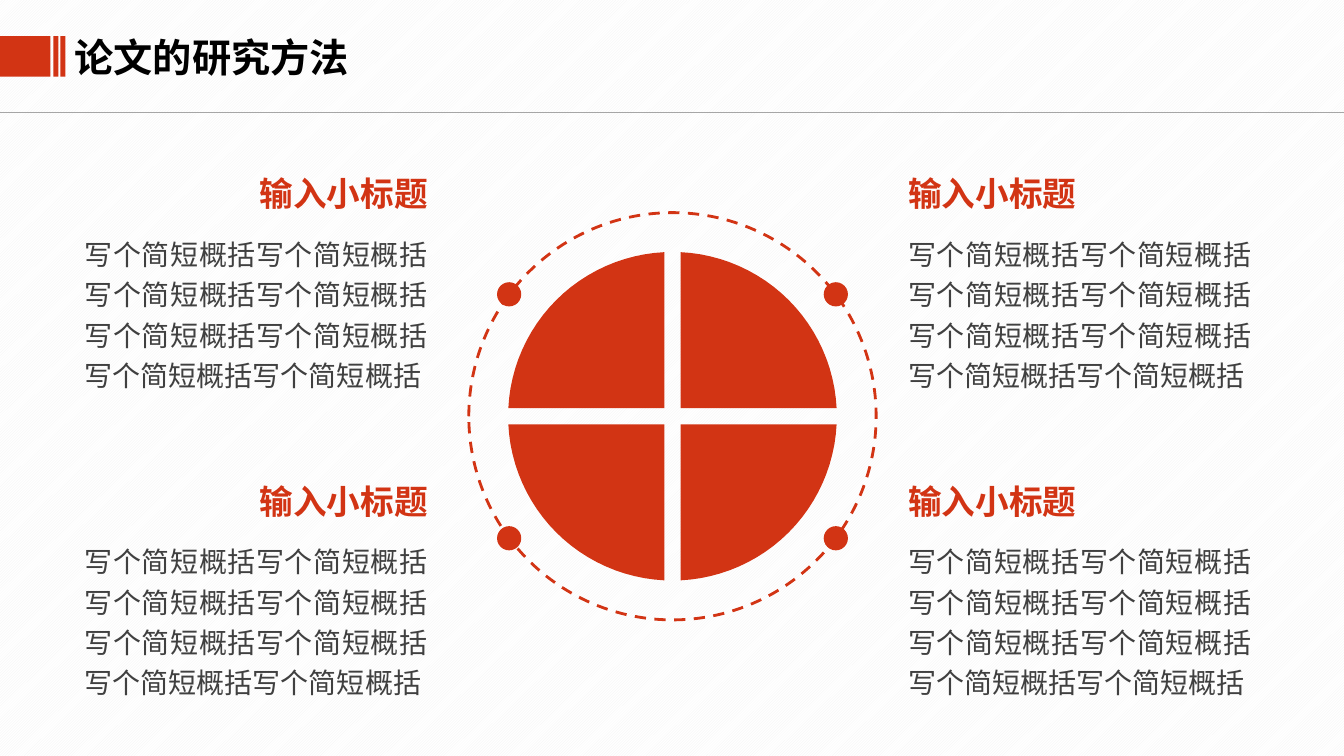
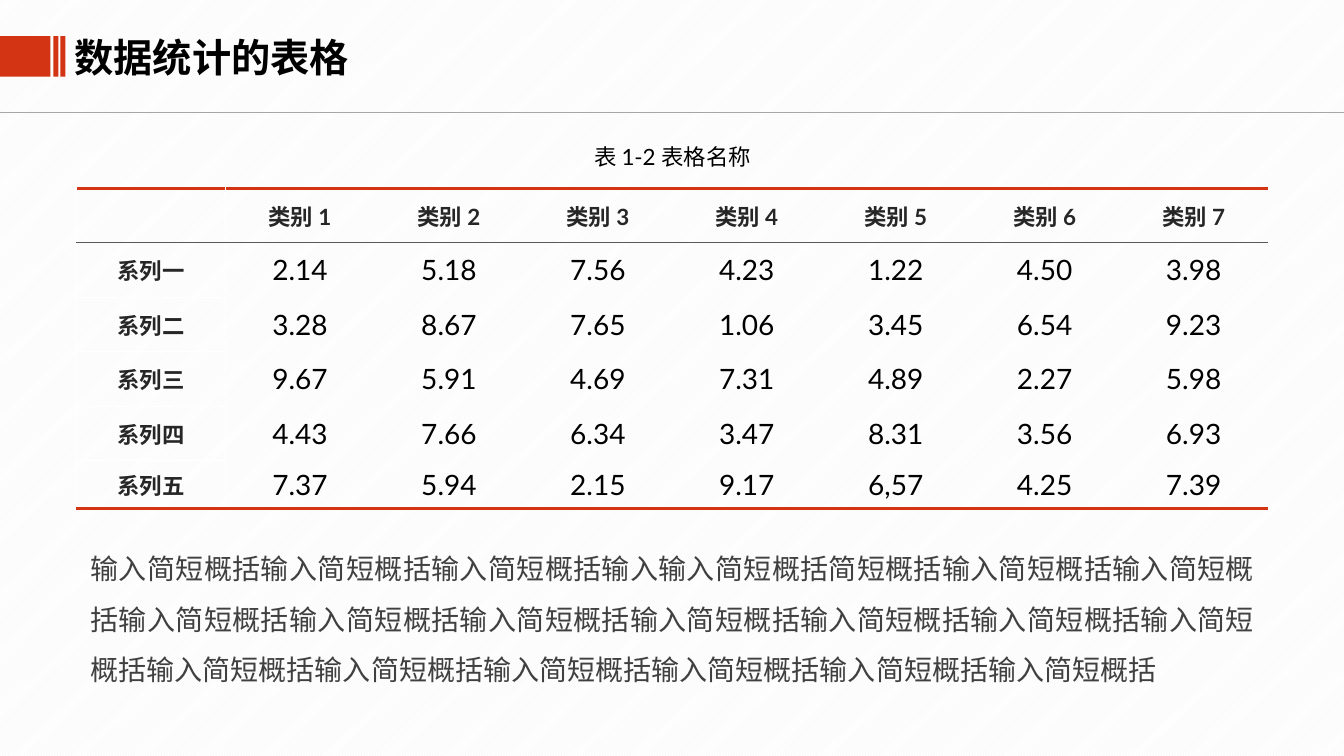
from math import asin, cos, pi, sin
from pptx import Presentation
from pptx.dml.color import RGBColor
from pptx.enum.dml import MSO_LINE, MSO_PATTERN
from pptx.enum.shapes import MSO_CONNECTOR, MSO_SHAPE
from pptx.enum.text import MSO_ANCHOR, PP_ALIGN
from pptx.oxml.ns import qn
from pptx.util import Inches, Pt
from lxml import etree

LEFT, CENTER, RIGHT, JUSTIFY = PP_ALIGN.LEFT, PP_ALIGN.CENTER, PP_ALIGN.RIGHT, PP_ALIGN.JUSTIFY
RECT, OVAL = MSO_SHAPE.RECTANGLE, MSO_SHAPE.OVAL

# Content
METHODS_TITLE = "论文的研究方法"
METHOD_HEADING = "输入小标题"
METHOD_BODY = "写个简短概括" * 8

TABLE_TITLE = "数据统计的表格"
CAPTION = "表 1-2 表格名称"
TABLE_ROWS = [
    ["", "类别 1", "类别 2", "类别 3", "类别 4", "类别 5", "类别 6", "类别 7"],
    ["系列一", "2.14", "5.18", "7.56", "4.23", "1.22", "4.50", "3.98"],
    ["系列二", "3.28", "8.67", "7.65", "1.06", "3.45", "6.54", "9.23"],
    ["系列三", "9.67", "5.91", "4.69", "7.31", "4.89", "2.27", "5.98"],
    ["系列四", "4.43", "7.66", "6.34", "3.47", "8.31", "3.56", "6.93"],
    ["系列五", "7.37", "5.94", "2.15", "9.17", "6,57", "4.25", "7.39"],
]
SUMMARY = "输入简短概括" * 3 + "输入输入简短概括简短概括" + "输入简短概括" * 15


# Theme
class Theme:
    cjk, latin = "Noto Sans CJK SC", "Lato"
    accent, white, stripe, rule, head_rule = "D23414", "FFFFFF", "F2F2F2", "A6A6A6", "595959"
    title = dict(name=cjk, size=28, bold=True, color="000000")
    heading = dict(name=cjk, size=24, bold=True, color=accent)
    body = dict(name=cjk, size=20, bold=False, color="404040")
    caption = dict(name=latin, size=16, bold=False, color="000000")
    label = dict(name=latin, size=16, bold=True, color="262626")
    value = dict(name=latin, size=20, bold=False, color="000000")


def rgb(value):
    return RGBColor.from_string(value)


# Shared helpers
def write(tf, text, style, align=LEFT, spacing=None):
    p = tf.paragraphs[0]
    p.alignment = align
    if spacing:
        p.line_spacing = spacing
    r = p.add_run()
    r.text = text
    formats = {**style, "size": Pt(style["size"])}
    r.font.color.rgb = rgb(formats.pop("color"))
    for key, value in formats.items():
        setattr(r.font, key, value)
    ea = etree.SubElement(r.font._element, qn("a:ea"))
    ea.set("typeface", Theme.cjk)


def add_text(s, box, text, style, align=LEFT, spacing=None, wrap=True, inset=0.1):
    tf = s.shapes.add_textbox(*map(Inches, box)).text_frame
    tf.word_wrap = wrap
    tf.margin_left = Inches(inset)
    write(tf, text, style, align, spacing)


def paint(sp):
    sp.shadow.inherit = False
    sp.fill.solid()
    sp.fill.fore_color.rgb = rgb(Theme.accent)
    sp.line.fill.background()


def add_shape(s, kind, box):
    sp = s.shapes.add_shape(kind, *map(Inches, box))
    paint(sp)
    return sp


def add_circle(s, cx, cy, radius):
    return add_shape(s, OVAL, (cx - radius, cy - radius, 2 * radius, 2 * radius))


def new_slide(prs, title):
    s = prs.slides.add_slide(prs.slide_layouts[6])
    fill = s.background.fill
    fill.patterned()
    fill.pattern = MSO_PATTERN.LIGHT_UPWARD_DIAGONAL
    fill.fore_color.rgb, fill.back_color.rgb = rgb(Theme.stripe), rgb(Theme.white)
    rule = s.shapes.add_connector(MSO_CONNECTOR.STRAIGHT, 0, Inches(1.12),
                                  prs.slide_width, Inches(1.12))
    rule.line.color.rgb, rule.line.width = rgb(Theme.rule), Pt(0.75)
    etree.SubElement(rule._element.spPr, qn("a:effectLst"))
    for left, width in [(0, 0.5), (0.53, 0.05), (0.6, 0.05)]:
        add_shape(s, RECT, (left, 0.36, width, 0.4))
    add_text(s, (0.74, 0.28, 2.85, 0.57), title, Theme.title, wrap=False, inset=0)
    return s


# Slide 1: four methods around a split disc
def add_split_disc(s, cx, cy, radius, gap, steps=24):
    edge = asin(gap / radius)
    builder = None
    for quarter in range(4):
        sx, sy = (1, 1, -1, -1)[quarter], (1, -1, 1, -1)[quarter]
        angles = [edge + (pi / 2 - 2 * edge) * i / steps for i in range(steps + 1)]
        offsets = [(gap, gap)] + [(radius * cos(a), radius * sin(a)) for a in angles]
        points = [(Inches(cx + sx * x), Inches(cy + sy * y)) for x, y in offsets]
        if builder is None:
            builder = s.shapes.build_freeform(*points[0], scale=1.0)
        else:
            builder.move_to(*points[0])
        builder.add_line_segments(points[1:], close=True)
    paint(builder.convert_to_shape())


def build_methods(prs):
    s = new_slide(prs, METHODS_TITLE)
    cx, cy = 6.67, 4.13
    add_split_disc(s, cx, cy, radius=1.63, gap=0.08)
    ring = add_circle(s, cx, cy, 2.02)
    ring.fill.background()
    ring.line.color.rgb, ring.line.width = rgb(Theme.accent), Pt(2)
    ring.line.dash_style = MSO_LINE.DASH
    for dx in (-1.62, 1.62):
        for dy in (-1.21, 1.21):
            add_circle(s, cx + dx, cy + dy, 0.12)
    for left, align in [(0.74, RIGHT), (8.91, LEFT)]:
        for top in (1.67, 4.72):
            add_text(s, (left, top, 3.6, 0.5), METHOD_HEADING, Theme.heading, align)
            add_text(s, (left, top + 0.57, 3.6, 1.68), METHOD_BODY, Theme.body, JUSTIFY, 1.2)


# Slide 2: statistics table
def set_borders(cell, borders):
    tcPr = cell._tc.get_or_add_tcPr()
    for side in "LRTB":
        ln = etree.SubElement(tcPr, qn("a:ln" + side))
        if side not in borders:
            etree.SubElement(ln, qn("a:noFill"))
            continue
        color, width = borders[side]
        ln.set("w", str(Pt(width)))
        fill = etree.SubElement(ln, qn("a:solidFill"))
        etree.SubElement(fill, qn("a:srgbClr")).set("val", color)


def cell_borders(row, col, last_row):
    white, thick, thin = (Theme.white, 1), (Theme.accent, 2.25), (Theme.head_rule, 0.75)
    borders = {}
    if col == 0:
        borders = dict.fromkeys("LRTB", white)
    elif col == 1:
        borders["L"] = white
    if row == 0:
        borders.update(T=thick, B=thin)
    elif row == 1:
        borders["T"] = thin
    if row == last_row:
        borders["B"] = thick
    return borders


def build_table(prs):
    s = new_slide(prs, TABLE_TITLE)
    heights = [0.54] * 5 + [0.46]
    margins = dict(margin_left=0.13, margin_right=0.13, margin_top=0.07, margin_bottom=0.07)
    box = map(Inches, (0.76, 1.87, 11.82, sum(heights)))
    table = s.shapes.add_table(len(TABLE_ROWS), len(TABLE_ROWS[0]), *box).table
    table.first_row = table.horz_banding = False
    for i, values in enumerate(TABLE_ROWS):
        table.rows[i].height = Inches(heights[i])
        for j, text in enumerate(values):
            cell = table.cell(i, j)
            set_borders(cell, cell_borders(i, j, len(TABLE_ROWS) - 1))
            cell.fill.background()
            cell.vertical_anchor = MSO_ANCHOR.MIDDLE
            for key, value in margins.items():
                setattr(cell, key, Inches(value))
            if text:
                style = Theme.value if i and j else Theme.label
                if j == 0:
                    style = {**style, "name": Theme.cjk}
                write(cell.text_frame, text, style, CENTER)
    add_text(s, (3.56, 1.37, 6.22, 0.37), CAPTION, Theme.caption, CENTER)
    add_text(s, (0.8, 5.26, 11.74, 1.56), SUMMARY, Theme.body, JUSTIFY, 1.5)


def main():
    prs = Presentation()
    prs.slide_width, prs.slide_height = Inches(13.33), Inches(7.5)
    build_methods(prs)
    build_table(prs)
    prs.save("out.pptx")


if __name__ == "__main__":
    main()
